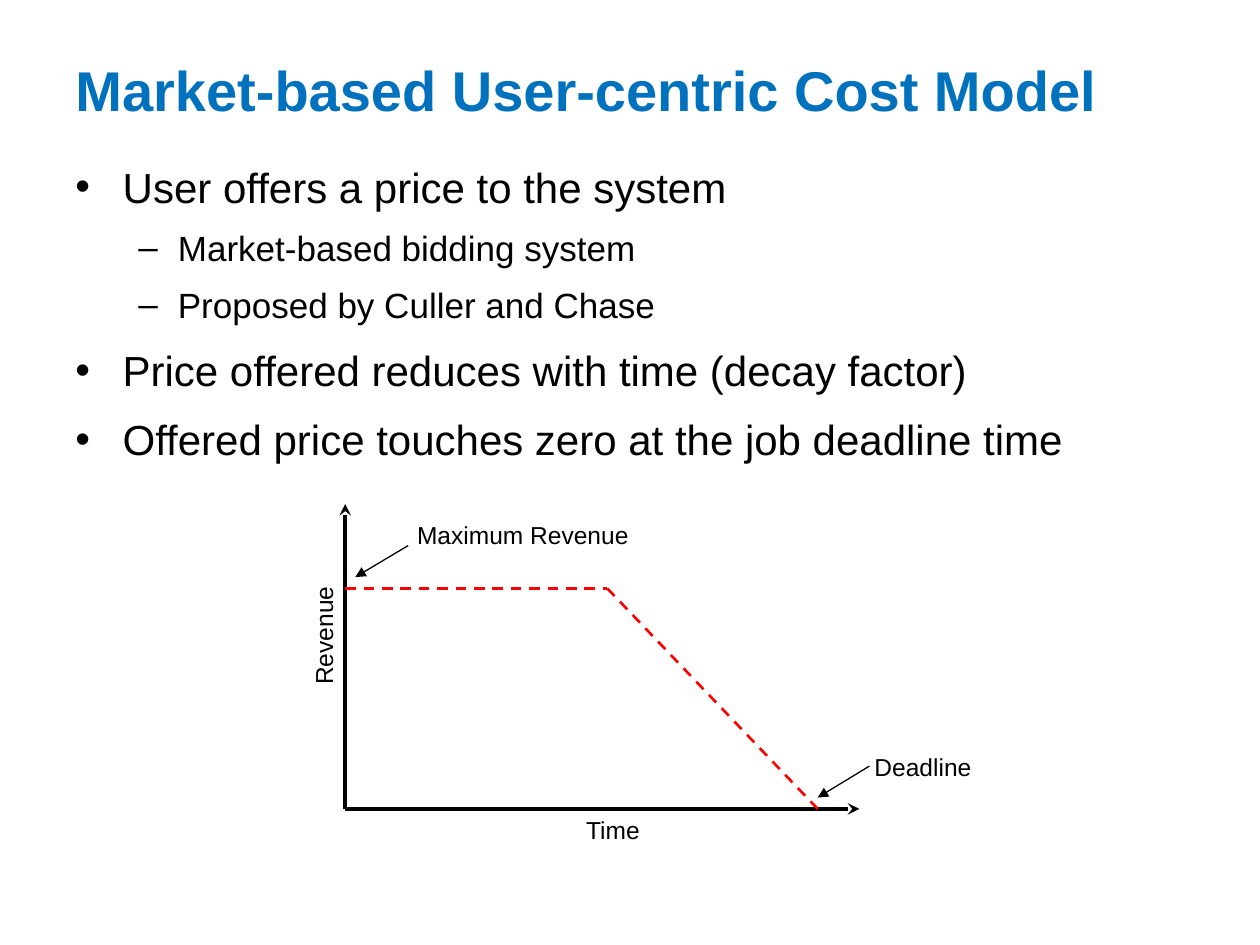
from lxml import etree
from pptx import Presentation
from pptx.dml.color import RGBColor
from pptx.enum.dml import MSO_LINE
from pptx.enum.shapes import MSO_CONNECTOR
from pptx.enum.text import MSO_ANCHOR, PP_ALIGN
from pptx.oxml.ns import qn
from pptx.util import Inches, Pt

STRAIGHT = MSO_CONNECTOR.STRAIGHT
DASH = MSO_LINE.DASH
MIDDLE, TOP = MSO_ANCHOR.MIDDLE, MSO_ANCHOR.TOP
LEFT, CENTER = PP_ALIGN.LEFT, PP_ALIGN.CENTER

FONT = "Arial"
HUES = {"title": "0071BC", "ink": "000000", "curve": "FF0000"}
COLS, ROWS = 100, 75
CELL = Inches(10) // COLS

TITLE = "Market-based User-centric Cost Model"
POINTS = [
    (0, "User offers a price to the system"),
    (1, "Market-based bidding system"),
    (1, "Proposed by Culler and Chase"),
    (0, "Price offered reduces with time (decay factor)"),
    (0, "Offered price touches zero at the job deadline time"),
]
LEVELS = [
    {"mark": "•", "size": 24, "left": 3.75, "hang": 3.75, "gap": 6.5},
    {"mark": "–", "size": 20, "left": 8.13, "hang": 3.13, "gap": 5},
]

ZERO = (27.4, 64.2)
PEAK = (27.4, 46.7)
BEND = (48.2, 46.7)
END = (64.9, 64.2)
STYLES = {
    "axis": {"hue": "ink", "width": 2.25, "head": "stealth"},
    "curve": {"hue": "curve", "width": 1.5, "dash": DASH},
    "hint": {"hue": "ink", "width": 0.75, "head": "triangle"},
}
LINES = [
    ("axis", ZERO, (ZERO[0], 40)),
    ("axis", ZERO, (68.2, ZERO[1])),
    ("curve", PEAK, BEND),
    ("curve", BEND, END),
    ("hint", (32.4, 43.3), (28.2, 45.8)),
    ("hint", (69, 60.8), (END[0], 63.3)),
]
LABELS = [
    ("Revenue", 21, 48.8, 9.3, 270),
    ("Time", 44, 64.2, 9.3, 0),
    ("Maximum Revenue", 33.1, 40.8, 16.8, 0),
    ("Deadline", 69, 59.2, 8.5, 0),
]


def grid(*cells):
    return [round(cell * CELL) for cell in cells]


def add_box(slide, *area, anchor=TOP, pad=1):
    box = slide.shapes.add_textbox(*grid(*area))
    frame = box.text_frame
    frame.word_wrap = True
    frame.vertical_anchor = anchor
    frame.margin_left = frame.margin_right = grid(pad)[0]
    return box


def add_run(para, text, size, hue="ink", bold=False):
    run = para.add_run()
    run.text = text
    font = run.font
    font.name, font.size, font.bold = FONT, Pt(size), bold
    font.color.rgb = RGBColor.from_string(HUES[hue])


def add_mark(para, level):
    props = para._p.get_or_add_pPr()
    left, hang = grid(level["left"], level["hang"])
    props.set("marL", str(left))
    props.set("indent", str(-hang))
    etree.SubElement(props, qn("a:buFont")).set("typeface", FONT)
    etree.SubElement(props, qn("a:buChar")).set("char", level["mark"])


def add_points(slide):
    frame = add_box(slide, 5, 11.7, 92.5, 27.5).text_frame
    for i, (depth, text) in enumerate(POINTS):
        level = LEVELS[depth]
        para = frame.add_paragraph() if i else frame.paragraphs[0]
        para.level = depth
        add_mark(para, level)
        para.alignment = LEFT
        para.line_spacing = 1.15
        para.space_before = Pt(level["gap"] if i else 0)
        add_run(para, text, level["size"])


def add_line(slide, kind, start, end):
    style = STYLES[kind]
    link = slide.shapes.add_connector(STRAIGHT, *grid(*start, *end))
    line = link.line
    line.width = Pt(style["width"])
    line.color.rgb = RGBColor.from_string(HUES[style["hue"]])
    if "dash" in style:
        line.dash_style = style["dash"]
    props = link._element.spPr
    if "head" in style:
        tail = etree.SubElement(props.find(qn("a:ln")), qn("a:tailEnd"))
        tail.set("type", style["head"])
    etree.SubElement(props, qn("a:effectLst"))


def add_label(slide, text, left, top, width, turn):
    box = add_box(slide, left, top, width, 3.3, pad=0)
    box.rotation = turn
    para = box.text_frame.paragraphs[0]
    para.alignment = CENTER
    add_run(para, text, 14)


def main():
    deck = Presentation()
    deck.slide_width, deck.slide_height = grid(COLS, ROWS)
    slide = deck.slides.add_slide(deck.slide_layouts[6])
    head = add_box(slide, 5, 1.7, 90, 10.8, anchor=MIDDLE)
    add_run(head.text_frame.paragraphs[0], TITLE, 32, "title", True)
    add_points(slide)
    for line in LINES:
        add_line(slide, *line)
    for label in LABELS:
        add_label(slide, *label)
    deck.save("out.pptx")


if __name__ == "__main__":
    main()
